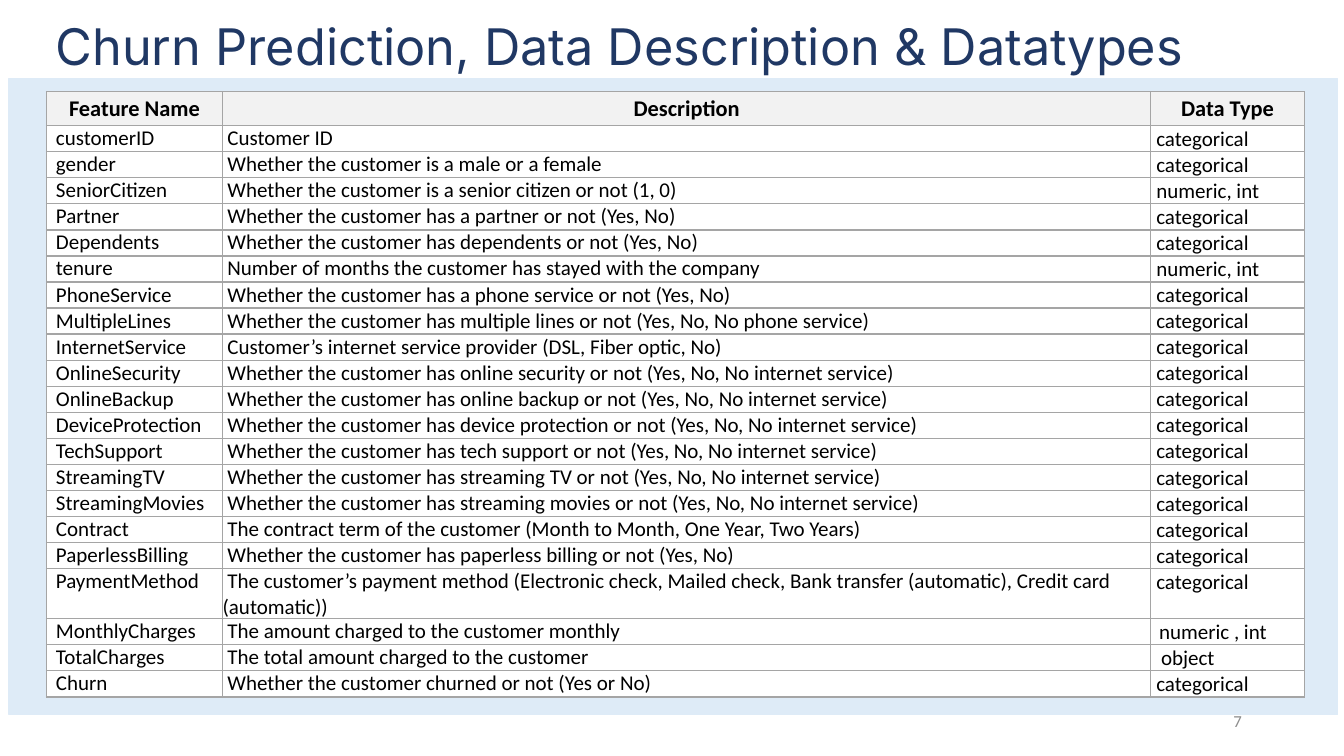
from dataclasses import dataclass

import lxml.etree
import pptx
import pptx.dml.color
import pptx.enum.shapes
import pptx.enum.text
import pptx.oxml.ns
import pptx.util

Cm = pptx.util.Cm
ALIGN = pptx.enum.text.PP_ALIGN
ANCHOR = pptx.enum.text.MSO_ANCHOR


@dataclass(frozen=True)
class Theme:
    title_font: str = "Inter"
    body_font: str = "Calibri"
    title: str = "203864"
    text: str = "000000"
    muted: str = "8C8C8C"
    band: str = "DEEBF7"
    header: str = "F2F2F2"
    paper: str = "FFFFFF"
    rule: str = "A5A5A5"
    title_size: float = 36
    header_size: float = 16
    body_size: float = 15
    number_size: float = 12


@dataclass(frozen=True)
class Feature:
    name: str
    description: str
    data_type: str = "categorical"
    type_indent: float = 0.12
    height: float = 0.65


THEME = Theme()
HEADINGS = ("Feature Name", "Description", "Data Type")
COLUMN_WIDTHS = (4.44, 23.39, 3.87)
HEADER_HEIGHT = 0.86
NAME_INDENT = 0.24
DESCRIPTION_INDENT = 0.12


def whether(name: str, clause: str, answers: str = "Yes, No") -> Feature:
    return Feature(name, f"Whether the customer {clause} ({answers})")


def internet_option(name: str, option: str) -> Feature:
    return whether(name, f"has {option} or not", "Yes, No, No internet service")


FEATURES = (
    Feature("customerID", "Customer ID"),
    Feature("gender", "Whether the customer is a male or a female"),
    Feature("SeniorCitizen", "Whether the customer is a senior citizen or not (1, 0)",
            "numeric, int"),
    whether("Partner", "has a partner or not"),
    whether("Dependents", "has dependents or not"),
    Feature("tenure", "Number of months the customer has stayed with the company",
            "numeric, int"),
    whether("PhoneService", "has a phone service or not"),
    whether("MultipleLines", "has multiple lines or not", "Yes, No, No phone service"),
    Feature("InternetService", "Customer’s internet service provider (DSL, Fiber optic, No)"),
    internet_option("OnlineSecurity", "online security"),
    internet_option("OnlineBackup", "online backup"),
    internet_option("DeviceProtection", "device protection"),
    internet_option("TechSupport", "tech support"),
    internet_option("StreamingTV", "streaming TV"),
    internet_option("StreamingMovies", "streaming movies"),
    Feature("Contract",
            "The contract term of the customer (Month to Month, One Year, Two Years)"),
    whether("PaperlessBilling", "has paperless billing or not"),
    Feature("PaymentMethod",
            "The customer’s payment method (Electronic check, Mailed check, "
            "Bank transfer (automatic), Credit card (automatic))", height=1.22),
    Feature("MonthlyCharges", "The amount charged to the customer monthly",
            "numeric , int", type_indent=0.19),
    Feature("TotalCharges", "The total amount charged to the customer",
            "object", type_indent=0.24),
    whether("Churn", "churned or not", "Yes or No"),
)


def rgb(value: str) -> pptx.dml.color.RGBColor:
    return pptx.dml.color.RGBColor.from_string(value)


def write(frame, text: str, *, size: float, color: str = THEME.text,
          font: str = THEME.body_font, bold: bool = False,
          align=ALIGN.LEFT, indent: float = 0) -> None:
    """Fill the frame with one paragraph; indent moves its first line, in cm."""
    paragraph = frame.paragraphs[0]
    paragraph.alignment = align
    if indent:
        properties = paragraph._p.get_or_add_pPr()
        properties.set("marL", "0")
        properties.set("indent", str(int(Cm(indent))))
    run = paragraph.add_run()
    run.text = text
    run.font.name = font
    run.font.size = pptx.util.Pt(size)
    run.font.bold = bold
    run.font.color.rgb = rgb(color)


def set_insets(target, horizontal: float, vertical: float) -> None:
    target.margin_left = target.margin_right = Cm(horizontal)
    target.margin_top = target.margin_bottom = Cm(vertical)


def add_borders(cell) -> None:
    qn = pptx.oxml.ns.qn
    properties = cell._tc.get_or_add_tcPr()
    for side in ("lnL", "lnR", "lnT", "lnB"):
        line = lxml.etree.SubElement(properties, qn(f"a:{side}"), w="12700")
        fill = lxml.etree.SubElement(line, qn("a:solidFill"))
        lxml.etree.SubElement(fill, qn("a:srgbClr"), val=THEME.rule)


def format_cell(cell, fill: str, anchor, horizontal: float, vertical: float) -> None:
    add_borders(cell)
    cell.fill.solid()
    cell.fill.fore_color.rgb = rgb(fill)
    cell.vertical_anchor = anchor
    set_insets(cell, horizontal, vertical)


def add_title(slide) -> None:
    title = slide.shapes.title
    title.left, title.top, title.width, title.height = Cm(0.89), Cm(0), Cm(29.46), Cm(2.31)
    title.fill.solid()
    title.fill.fore_color.rgb = rgb(THEME.paper)
    frame = title.text_frame
    frame.word_wrap = False
    frame.auto_size = pptx.enum.text.MSO_AUTO_SIZE.NONE
    frame.vertical_anchor = ANCHOR.MIDDLE
    set_insets(frame, 0, 0)
    write(frame, "Churn Prediction, Data Description & Datatypes", size=THEME.title_size,
          color=THEME.title, font=THEME.title_font, align=ALIGN.CENTER)


def add_page_number(slide) -> None:
    frame = slide.shapes.add_textbox(Cm(23.93), Cm(17.65), Cm(7.62), Cm(1.01)).text_frame
    frame.word_wrap = True
    frame.vertical_anchor = ANCHOR.MIDDLE
    write(frame, "7", size=THEME.number_size, color=THEME.muted, align=ALIGN.RIGHT)


def add_band(slide) -> None:
    band = slide.shapes.add_shape(pptx.enum.shapes.MSO_SHAPE.RECTANGLE,
                                  Cm(0.23), Cm(1.98), Cm(33.48), Cm(16.03))
    band.shadow.inherit = False
    band.fill.solid()
    band.fill.fore_color.rgb = rgb(THEME.band)
    band.line.color.rgb = rgb(THEME.band)
    band.line.width = pptx.util.Pt(1)


def add_feature_table(slide) -> None:
    heights = [HEADER_HEIGHT] + [feature.height for feature in FEATURES]
    table = slide.shapes.add_table(len(heights), len(HEADINGS), Cm(1.17), Cm(2.31),
                                   Cm(sum(COLUMN_WIDTHS)), Cm(sum(heights))).table
    table.first_row = table.horz_banding = False
    for column, width in zip(table.columns, COLUMN_WIDTHS):
        column.width = Cm(width)
    for row, height in zip(table.rows, heights):
        row.height = Cm(height)

    for column, heading in enumerate(HEADINGS):
        cell = table.cell(0, column)
        format_cell(cell, THEME.header, ANCHOR.MIDDLE, 0.18, 0.08)
        write(cell.text_frame, heading, size=THEME.header_size, bold=True, align=ALIGN.CENTER)

    for row, feature in enumerate(FEATURES, start=1):
        entries = ((feature.name, NAME_INDENT, 0),
                   (feature.description, DESCRIPTION_INDENT, 0),
                   (feature.data_type, feature.type_indent, 0.02))
        for column, (text, indent, inset) in enumerate(entries):
            cell = table.cell(row, column)
            format_cell(cell, THEME.paper, ANCHOR.TOP, inset, 0)
            if inset:
                cell.margin_top = Cm(inset)
            write(cell.text_frame, text, size=THEME.body_size, indent=indent)


def main() -> None:
    deck = pptx.Presentation()
    deck.slide_width, deck.slide_height = Cm(33.87), Cm(19.05)
    slide = deck.slides.add_slide(deck.slide_layouts[5])
    add_title(slide)
    add_page_number(slide)
    add_band(slide)
    add_feature_table(slide)
    deck.save("out.pptx")


if __name__ == "__main__":
    main()
